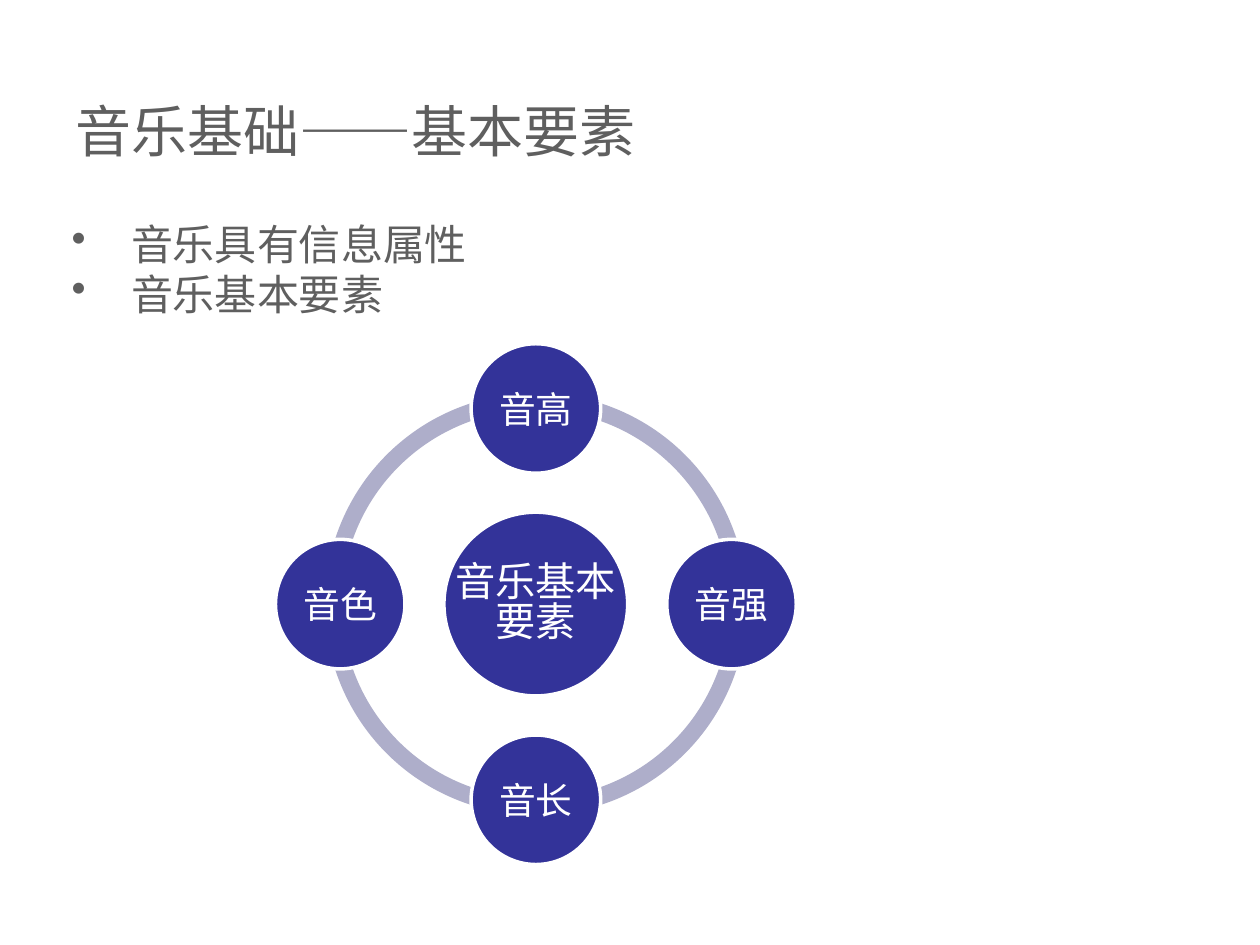
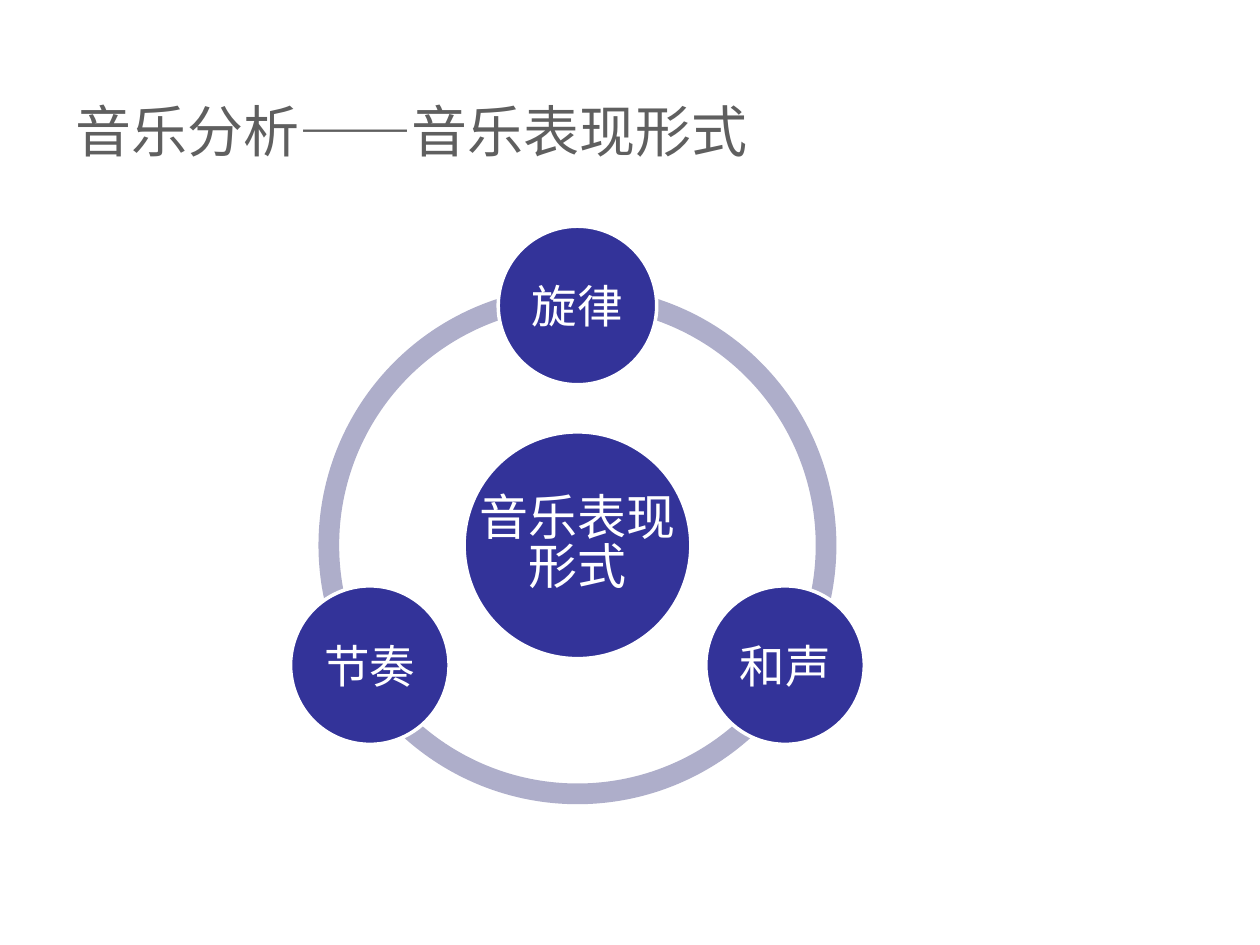
import math

from lxml import etree
from pptx import Presentation
from pptx import util as u
from pptx.dml.color import RGBColor
from pptx.enum import shapes, text
from pptx.oxml import ns

Pt = u.Pt

# Shared style
GREY = RGBColor(0x5F, 0x5F, 0x5F)
NAVY = RGBColor(0x33, 0x33, 0x99)
LAVENDER = RGBColor(0xAE, 0xAE, 0xCA)
WHITE = RGBColor(0xFF, 0xFF, 0xFF)
LATIN, CJK = "Arial", "Noto Sans CJK SC"
TIGHT = 0.83  # line spacing of multi-line text
RING_WIDTH = 0.04  # as a share of the ring's diameter


def add_bullet(p, indent):
    pPr = p._p.get_or_add_pPr()
    pPr.set("marL", str(Pt(indent)))
    pPr.set("indent", str(-Pt(indent)))
    etree.SubElement(pPr, ns.qn("a:buChar")).set("char", "•")


def add_text(s, lines, x, y, w, h, *, size, color, font=LATIN, spacing=1.0,
             align=text.PP_ALIGN.LEFT, anchor=text.MSO_ANCHOR.TOP,
             margins=(7.2, 3.6), bullet_indent=None, gap=0):
    tf = s.shapes.add_textbox(Pt(x), Pt(y), Pt(w), Pt(h)).text_frame
    tf.word_wrap = True
    tf.vertical_anchor = anchor
    tf.margin_left = tf.margin_right = Pt(margins[0])
    tf.margin_top = tf.margin_bottom = Pt(margins[1])
    for i, line in enumerate(lines):
        p = tf.paragraphs[0] if i == 0 else tf.add_paragraph()
        if bullet_indent:
            add_bullet(p, bullet_indent)
        p.alignment = align
        p.line_spacing = spacing
        if i:
            p.space_before = Pt(gap)
        r = p.add_run()
        r.text = line
        r.font.size = Pt(size)
        r.font.name = font
        r.font.color.rgb = color
        ea = etree.SubElement(r._r.get_or_add_rPr(), ns.qn("a:ea"))
        ea.set("typeface", CJK)


def add_title(s, title):
    add_text(s, [title], 36, 37.4, 648, 74.2, size=32, color=GREY, font=CJK,
             anchor=text.MSO_ANCHOR.MIDDLE)


def add_round(s, kind, cx, cy, diameter, color):
    """Add a shape of equal width and height around a centre point."""
    sp = s.shapes.add_shape(kind, Pt(cx - diameter / 2), Pt(cy - diameter / 2),
                            Pt(diameter), Pt(diameter))
    sp.shadow.inherit = False
    sp.fill.solid()
    sp.fill.fore_color.rgb = color
    sp.line.fill.background()
    return sp


def add_arc(s, cx, cy, diameter, start, end):
    sp = add_round(s, shapes.MSO_SHAPE.BLOCK_ARC, cx, cy, diameter, LAVENDER)
    # Angles are stored in 60000ths of a degree, adjustments in 100000ths
    sp.adjustments[0] = start * 0.6
    sp.adjustments[1] = end * 0.6
    sp.adjustments[2] = RING_WIDTH


def add_disc(s, label, cx, cy, diameter, size, spacing=1.0):
    sp = add_round(s, shapes.MSO_SHAPE.OVAL, cx, cy, diameter, NAVY)
    sp.line.color.rgb = WHITE
    sp.line.width = Pt(2)
    add_text(s, [label], cx - diameter / 2, cy - diameter / 2, diameter, diameter,
             size=size, color=WHITE, spacing=spacing, margins=(2.5, 2.5),
             align=text.PP_ALIGN.CENTER, anchor=text.MSO_ANCHOR.MIDDLE)


def add_radial_cycle(s, hub, nodes, cx, cy, *, ring, orbit, hub_size, node_size,
                     hub_font, node_font):
    """Draw a hub with nodes spread clockwise from the top of a ring."""
    step = 360 / len(nodes)
    angles = [(270 + i * step) % 360 for i in range(len(nodes))]
    for angle in angles:
        add_arc(s, cx, cy, ring, angle, (angle + step) % 360)
    add_disc(s, hub, cx, cy, hub_size, hub_font, TIGHT)
    for node, angle in zip(nodes, angles):
        a = math.radians(angle)
        add_disc(s, node, cx + orbit * math.cos(a), cy + orbit * math.sin(a),
                 node_size, node_font)


def main():
    prs = Presentation()
    prs.slide_width, prs.slide_height = Pt(720), Pt(540)
    blank = prs.slide_layouts[6]

    # Basic elements of music
    s = prs.slides.add_slide(blank)
    add_title(s, "音乐基础——基本要素")
    add_text(s, ["音乐具有信息属性", "音乐基本要素"], 33.8, 126, 298, 356,
             size=24, color=GREY, spacing=TIGHT, bullet_indent=34, gap=4.8)
    add_radial_cycle(s, "音乐基本要素", ["音高", "音强", "音长", "音色"], 306.2, 345.2,
                     ring=241.2, orbit=111.8, hub_size=105, node_size=74,
                     hub_font=23, node_font=21)

    # Forms of musical expression
    s = prs.slides.add_slide(blank)
    add_title(s, "音乐分析——音乐表现形式")
    add_radial_cycle(s, "音乐表现形式", ["旋律", "和声", "节奏"], 330, 311.6,
                     ring=296, orbit=137, hub_size=129.6, node_size=90.6,
                     hub_font=28, node_font=26)

    prs.save("out.pptx")


if __name__ == "__main__":
    main()
